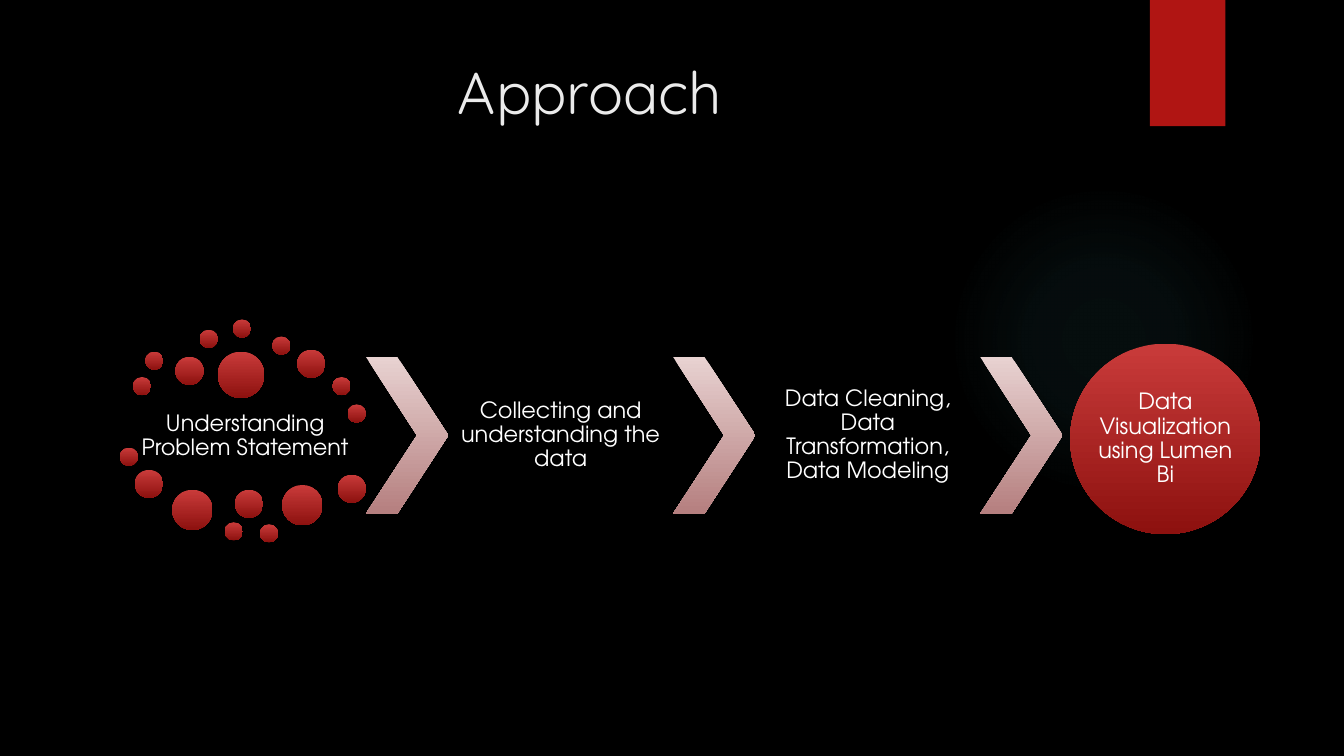
from lxml import etree
from pptx import Presentation
from pptx.dml.color import RGBColor
from pptx.enum.shapes import MSO_SHAPE
from pptx.enum.text import MSO_ANCHOR, MSO_AUTO_SIZE, PP_ALIGN
from pptx.oxml import parse_xml
from pptx.oxml.ns import nsdecls
from pptx.util import Cm, Pt

CENTER = PP_ALIGN.CENTER
TOP, MIDDLE = MSO_ANCHOR.TOP, MSO_ANCHOR.MIDDLE
OVAL, RECT, CHEVRON = MSO_SHAPE.OVAL, MSO_SHAPE.RECTANGLE, MSO_SHAPE.CHEVRON

TITLE_FONT, BODY_FONT = "Quicksand", "TeX Gyre Adventor"
COLORS = {
    "background": "000000", "title": "EBEBEB", "text": "FFFFFF",
    "ribbon": "B01513", "glow": "50B9C1",
    "red_top": "C93B3A", "red_bottom": "8D110F",
    "arrow_top": "E8D2D1", "arrow_bottom": "B57F7F",
}

# Left and top of the scattered dots, by diameter (cm)
DOTS = {
    0.46: [(3.35, 9.5), (3.66, 8.86), (5.03, 8.31), (5.87, 8.05), (6.86, 8.48),
           (8.38, 9.5), (8.76, 10.19), (3.02, 11.28), (5.66, 13.16), (6.55, 13.21)],
    0.71: [(4.42, 8.99), (7.49, 8.81), (3.4, 11.84), (5.92, 12.34), (8.51, 11.96)],
    1.02: [(4.34, 12.34), (7.11, 12.22)],
    1.17: [(5.49, 8.86)],
}

FIRST_STEP = "Understanding Problem Statement"
MIDDLE_STEPS = ["Collecting and understanding the data",
                "Data Cleaning, Data Transformation, Data Modeling"]
LAST_STEP = "Data Visualization using Lumen Bi"

# Step row (cm)
ROW_LEFT, ROW_TOP, ROW_HEIGHT = 9.22, 8.99, 3.96
ARROW_WIDTH, STEP_WIDTH = 2.08, 5.66
PITCH = ARROW_WIDTH + STEP_WIDTH


def color(name):
    return RGBColor.from_string(COLORS[name])


def add_plain_shape(slide, kind, left, top, width, height):
    shape = slide.shapes.add_shape(kind, Cm(left), Cm(top), Cm(width), Cm(height))
    shape.shadow.inherit = False
    shape.line.fill.background()
    return shape


def add_gradient_shape(slide, kind, box, tone):
    shape = add_plain_shape(slide, kind, *box)
    shape.fill.gradient()
    shape.fill.gradient_angle = 270
    for stop, end in zip(shape.fill.gradient_stops, ("top", "bottom")):
        stop.color.rgb = color(f"{tone}_{end}")
    return shape


def add_glow(slide):
    glow = add_plain_shape(slide, OVAL, 23.9, 4.65, 7.82, 7.82)
    glow.fill.solid()
    solid = glow.fill._xPr.solidFill
    gradient = parse_xml(
        f'<a:gradFill {nsdecls("a")}><a:gsLst/><a:path path="circle">'
        '<a:fillToRect l="50000" t="50000" r="50000" b="50000"/></a:path></a:gradFill>')
    namespace = "{" + gradient.nsmap["a"] + "}"
    for position, alpha in ((0, 7), (36, 6), (69, 0)):
        stop = etree.SubElement(gradient[0], namespace + "gs", pos=str(position * 1000))
        tint = etree.SubElement(stop, namespace + "srgbClr", val=COLORS["glow"])
        etree.SubElement(tint, namespace + "alpha", val=str(alpha * 1000))
    solid.getparent().replace(solid, gradient)


def write_text(frame, text, font, size, tint, inset, anchor):
    frame.text = text
    frame.word_wrap = True
    frame.auto_size = MSO_AUTO_SIZE.NONE
    frame.vertical_anchor = anchor
    frame.margin_left = frame.margin_right = Cm(inset)
    frame.margin_top = frame.margin_bottom = Cm(inset)
    paragraph = frame.paragraphs[0]
    paragraph.alignment = CENTER
    run_font = paragraph.runs[0].font
    run_font.name, run_font.size = font, Pt(size)
    run_font.color.rgb = color(tint)


def write_step(frame, text, inset):
    write_text(frame, text, BODY_FONT, 16, "text", inset, MIDDLE)
    frame.paragraphs[0].line_spacing = 0.9


def add_step(slide, text, left, top, height):
    step = slide.shapes.add_textbox(Cm(left), Cm(top), Cm(STEP_WIDTH), Cm(height))
    write_step(step.text_frame, text, 0.05)


def add_title(slide, text):
    title = slide.shapes.title
    title.left, title.top, title.width, title.height = (
        Cm(1.8), Cm(1.27), Cm(26.14), Cm(3.89))
    write_text(title.text_frame, text, TITLE_FONT, 42, "title", 0.13, TOP)


def main():
    deck = Presentation()
    deck.slide_width, deck.slide_height = Cm(33.87), Cm(19.05)
    slide = deck.slides.add_slide(deck.slide_layouts[5])

    # Backdrop
    slide.background.fill.solid()
    slide.background.fill.fore_color.rgb = color("background")
    add_glow(slide)
    ribbon = add_plain_shape(slide, RECT, 28.98, 0, 1.9, 3.18)
    ribbon.fill.solid()
    ribbon.fill.fore_color.rgb = color("ribbon")
    add_title(slide, "Approach")

    # First step among its dots
    add_step(slide, FIRST_STEP, 3.35, 10.06, 1.85)
    for diameter, places in DOTS.items():
        for left, top in places:
            add_gradient_shape(slide, OVAL, (left, top, diameter, diameter), "red")

    # Arrows and the steps between them
    for index in range(len(MIDDLE_STEPS) + 1):
        box = (ROW_LEFT + index * PITCH, ROW_TOP, ARROW_WIDTH, ROW_HEIGHT)
        arrow = add_gradient_shape(slide, CHEVRON, box, "arrow")
        arrow.adjustments[0] = 0.62
    for index, text in enumerate(MIDDLE_STEPS):
        left = ROW_LEFT + ARROW_WIDTH + index * PITCH
        add_step(slide, text, left, ROW_TOP, ROW_HEIGHT)

    # Final step
    goal = add_gradient_shape(slide, OVAL, (26.97, 8.66, 4.8, 4.8), "red")
    write_step(goal.text_frame, LAST_STEP, 0)

    deck.save("out.pptx")


main()
